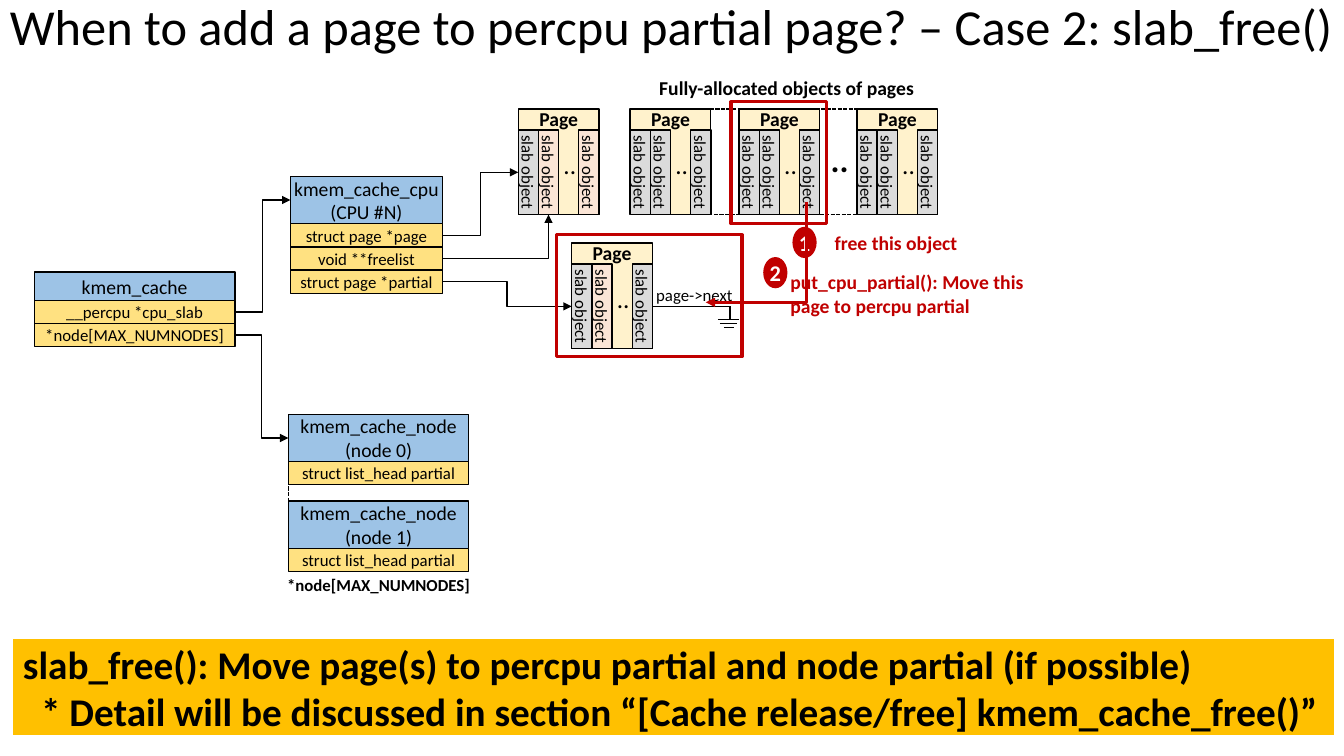
from pptx import Presentation
from pptx.dml.color import RGBColor
from pptx.enum.dml import MSO_LINE
from pptx.enum.shapes import MSO_CONNECTOR, MSO_SHAPE
from pptx.enum.text import MSO_ANCHOR, PP_ALIGN
from pptx.oxml.ns import qn
from pptx.util import Inches, Pt
from lxml import etree

COLORS = {
    "black": "000000", "white": "FFFFFF", "red": "C00000", "header": "9DC3E6",
    "field": "FFE181", "page": "FFF2CC", "used": "DBDBDB", "free": "FBE5D6",
    "banner": "FFC000",
}
ROW_H = 0.23
PAGE_W, PAGE_H = 0.8, 1.05
SLAB_LENGTH, SLAB_W = 0.84, 0.2


def rgb(name):
    return RGBColor.from_string(COLORS[name])


def set_text(s, text, size, color="black", bold=False, align=PP_ALIGN.CENTER,
             insets=(0.1, 0.05), anchor=MSO_ANCHOR.MIDDLE):
    tf = s.text_frame
    tf.word_wrap = True
    tf.vertical_anchor = anchor
    tf.margin_left = tf.margin_right = Inches(insets[0])
    tf.margin_top = tf.margin_bottom = Inches(insets[1])
    tf.text = text
    for p in tf.paragraphs:
        p.alignment = align
        for r in p.runs:
            r.font.name = "Calibri"
            r.font.size = Pt(size)
            r.font.bold = bold
            r.font.color.rgb = rgb(color)


def add_box(shapes, x, y, w, h, fill=None, line="black", width=1, kind=MSO_SHAPE.RECTANGLE):
    s = shapes.add_shape(kind, Inches(x), Inches(y), Inches(w), Inches(h))
    s.shadow.inherit = False
    if fill:
        s.fill.solid()
        s.fill.fore_color.rgb = rgb(fill)
    else:
        s.fill.background()
    if line:
        s.line.color.rgb = rgb(line)
        s.line.width = Pt(width)
    else:
        s.line.fill.background()
    return s


def add_label(shapes, x, y, w, h, text, size, **style):
    s = shapes.add_textbox(Inches(x), Inches(y), Inches(w), Inches(h))
    set_text(s, text, size, **{"align": PP_ALIGN.LEFT, "anchor": MSO_ANCHOR.TOP, **style})
    return s


def add_struct(shapes, x, y, w, header_h, title, fields, inset=0.05):
    """Draw a struct as a header over its fields; return all the boxes, header first."""
    header = add_box(shapes, x, y, w, header_h, "header")
    set_text(header, title, 14, insets=(inset, 0.05))
    boxes = [header]
    for i, field in enumerate(fields):
        row = add_box(shapes, x, y + header_h + i * ROW_H, w, ROW_H, "field")
        set_text(row, field, 12)
        boxes.append(row)
    return boxes


def add_page(shapes, x, y, slab_fills):
    """Draw a page holding three upright slab objects, with dots before the last."""
    page = shapes.add_group_shape().shapes
    add_box(page, x, y, PAGE_W, PAGE_H, "page")
    for center, fill in zip((0.1, 0.3, 0.7), slab_fills):
        slab = add_box(page, x + center - SLAB_LENGTH / 2, y + PAGE_H - SLAB_LENGTH / 2 - SLAB_W / 2,
                       SLAB_LENGTH, SLAB_W, fill)
        slab.rotation = 90
        set_text(slab, "slab object", 12, insets=(0.05, 0))
    add_label(page, x + 0.35, y + 0.35, 0.44, 0.4, "..", 18)
    add_label(page, x + 0.11, y - 0.07, 0.61, 0.34, "Page", 14, bold=True)


def add_arrowhead(s):
    etree.SubElement(s.line._get_or_add_ln(), qn("a:tailEnd"), type="triangle")


def add_line(shapes, start, end, kind=MSO_CONNECTOR.STRAIGHT, dashed=False):
    c = shapes.add_connector(kind, *(Inches(v) for v in (*start, *end)))
    c.line.color.rgb = rgb("black")
    c.line.width = Pt(1)
    if dashed:
        c.line.dash_style = MSO_LINE.SQUARE_DOT
        c.line._get_or_add_ln().find(qn("a:prstDash")).set("val", "sysDash")
    etree.SubElement(c._element.spPr, qn("a:effectLst"))
    return c


def add_pointer(shapes, source, start, end, target=None, single_bend=False):
    """Draw an elbow arrow from the right side of a field."""
    c = add_line(shapes, start, end, MSO_CONNECTOR.ELBOW)
    add_arrowhead(c)
    c.begin_connect(source, 3)
    if target is not None:
        c.end_connect(target, 1)
    if single_bend:
        c._element.spPr.find(qn("a:prstGeom")).set("prst", "bentConnector2")


def add_curve(shapes, start, *beziers, steps=12):
    """Draw a red arrow along cubic curves, each given as two controls and an end."""
    points, p0 = [], start
    for p1, p2, p3 in beziers:
        for i in range(1, steps + 1):
            t = i / steps
            u = 1 - t
            points.append(tuple(u**3 * a + 3 * u * u * t * b + 3 * u * t * t * c + t**3 * d
                                for a, b, c, d in zip(p0, p1, p2, p3)))
        p0 = p3
    builder = shapes.build_freeform(*start, scale=Inches(1))
    builder.add_line_segments(points, close=False)
    s = builder.convert_to_shape()
    s.shadow.inherit = False
    s.fill.background()
    s.line.color.rgb = rgb("red")
    s.line.width = Pt(2.25)
    add_arrowhead(s)


def add_step(shapes, x, y, number):
    s = add_box(shapes, x, y, 0.24, 0.31, "red", line=None, kind=MSO_SHAPE.OVAL)
    set_text(s, number, 16, "white", bold=True, insets=(0, 0))


def add_structs(shapes):
    cache, cpu_slab, node = add_struct(
        shapes, 0.34, 2.7, 1.99, 0.28, "kmem_cache",
        ["__percpu *cpu_slab", "*node[MAX_NUMNODES]"], inset=0)
    cpu, page, freelist, partial = add_struct(
        shapes, 2.88, 1.75, 1.51, 0.47, "kmem_cache_cpu\v(CPU #N)",
        ["struct page *page", "void **freelist", "struct page *partial"], inset=0.01)
    node0, node1 = (
        add_struct(shapes, 2.86, y, 1.79, 0.47, f"kmem_cache_node\v(node {i})",
                   ["struct list_head partial"])[0]
        for i, y in enumerate((4.11, 4.97)))
    add_label(shapes, 2.68, 5.65, 2.15, 0.3, "*node[MAX_NUMNODES]", 12,
              bold=True, align=PP_ALIGN.CENTER)
    add_line(shapes, (2.86, 4.55), (2.86, 4.97), dashed=True)
    add_pointer(shapes, cpu_slab, (2.33, 3.1), (2.88, 1.99), cpu)
    add_pointer(shapes, node, (2.33, 3.33), (2.86, 4.35), node0)
    add_pointer(shapes, freelist, (4.39, 2.56), (5.44, 2.13), single_bend=True)
    add_pointer(shapes, page, (4.39, 2.33), (5.14, 1.71))
    return partial


def add_partial_list(shapes, partial):
    add_page(shapes, 5.67, 2.41, ("used", "free", "used"))
    add_pointer(shapes, partial, (4.39, 2.79), (5.67, 3.04))
    add_line(shapes, (6.47, 3.04), (7.24, 3.04))
    add_label(shapes, 6.41, 2.78, 1.08, 0.3, "page->next", 12)
    add_box(shapes, 5.52, 2.33, 1.84, 1.21, line="red", width=2.25)
    add_line(shapes, (7.24, 3.04), (7.24, 3.17))
    for left, right, y in ((7.12, 7.33, 3.17), (7.14, 7.31, 3.21), (7.18, 7.28, 3.25)):
        add_line(shapes, (left, y), (right, y))


def add_full_pages(shapes):
    add_line(shapes, (6.97, 2.13), (8.63, 2.13), dashed=True)
    add_page(shapes, 5.14, 1.08, ("used", "free", "free"))
    for x in (6.25, 7.33, 8.5):
        add_page(shapes, x, 1.08, ("used",) * 3)
    add_label(shapes, 8.14, 1.33, 0.44, 0.5, "..", 24, bold=True)
    add_line(shapes, (7.04, 1.08), (8.7, 1.08), dashed=True)
    add_box(shapes, 7.25, 1.01, 0.95, 1.21, line="red", width=2.25)
    add_label(shapes, 6.44, 0.7, 2.87, 0.34, "Fully-allocated objects of pages", 14, bold=True)


def add_steps(shapes):
    add_label(shapes, 8.18, 2.24, 1.67, 0.34, "free this object", 14, color="red", bold=True)
    add_curve(shapes, (8.23, 2.41), ((8.04, 2.42), (7.84, 2.42), (7.74, 2.36)),
              ((7.64, 2.31), (7.65, 2.12), (7.63, 2.09)))
    add_step(shapes, 7.86, 2.25, "1")
    add_label(shapes, 7.74, 2.63, 2.85, 0.57,
              "put_cpu_partial(): Move this page to percpu partial", 14, color="red", bold=True)
    add_curve(shapes, (7.51, 2.23), ((7.58, 2.4), (7.65, 2.58), (7.68, 2.69)),
              ((7.7, 2.8), (7.71, 2.84), (7.66, 2.89)), ((7.6, 2.93), (7.48, 2.94), (7.36, 2.95)))
    add_step(shapes, 7.57, 2.55, "2")


def main():
    prs = Presentation()
    prs.slide_width, prs.slide_height = Inches(13.33), Inches(7.5)
    shapes = prs.slides.add_slide(prs.slide_layouts[6]).shapes
    title = add_label(shapes, 0, -0.09, 13.41, 0.75,
                      "When to add a page to percpu partial page? – Case 2: slab_free()", 36,
                      anchor=MSO_ANCHOR.MIDDLE)
    title.text_frame.paragraphs[0].line_spacing = 0.9
    partial = add_structs(shapes)
    add_partial_list(shapes, partial)
    add_full_pages(shapes)
    add_steps(shapes)
    banner = add_box(shapes, 0.13, 6.34, 13.1, 0.95, "banner", line=None)
    set_text(banner, "slab_free(): Move page(s) to percpu partial and node partial (if possible)\n"
             "* Detail will be discussed in section “[Cache release/free] kmem_cache_free()”",
             28, bold=True, align=PP_ALIGN.LEFT)
    banner.text_frame.paragraphs[1]._p.get_or_add_pPr().set("marL", str(Inches(0.18)))
    prs.save("out.pptx")


if __name__ == "__main__":
    main()
